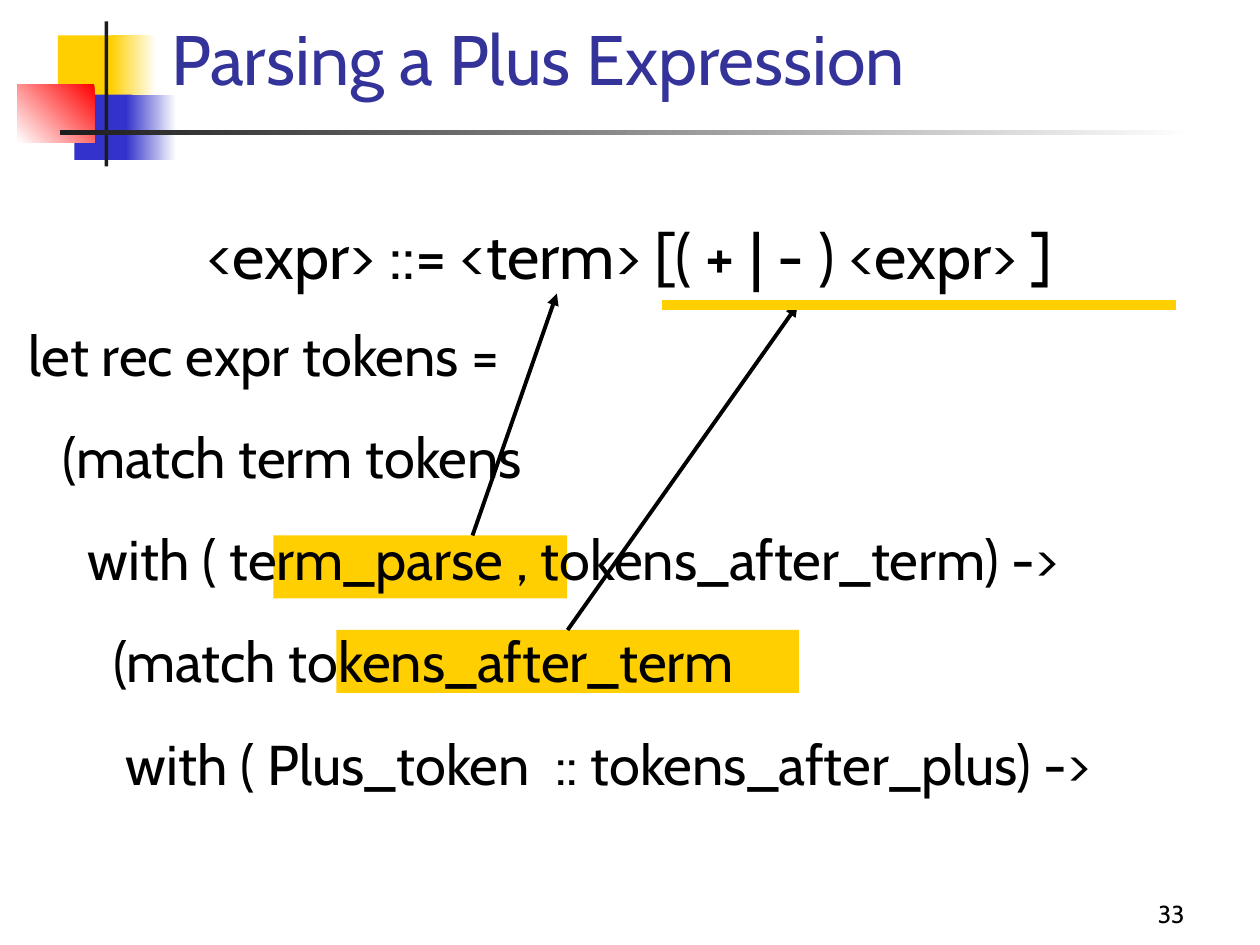
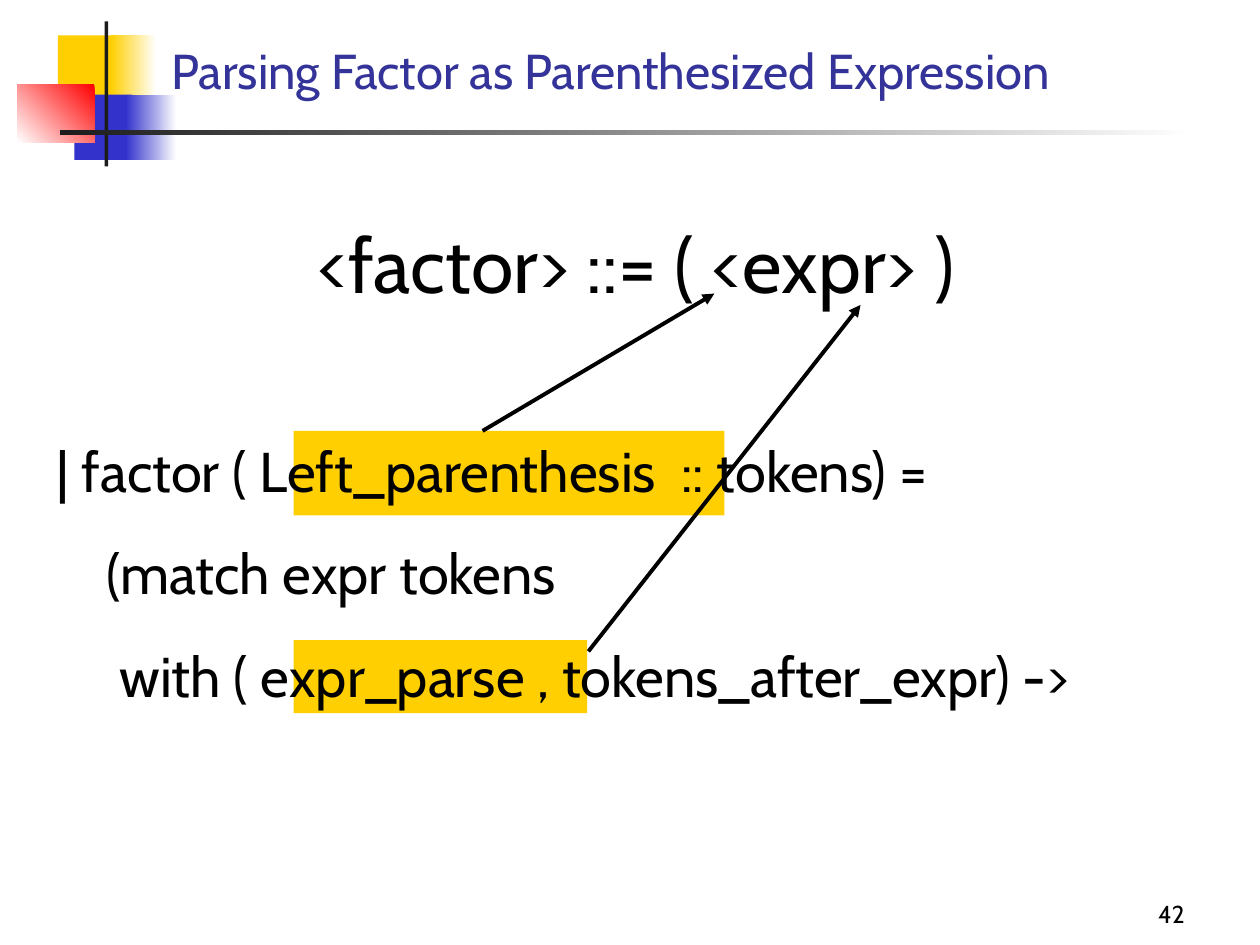
"""Build two slides that tie grammar rules to the parser code for them."""
from dataclasses import dataclass

from lxml import etree
from pptx import Presentation
from pptx.dml.color import RGBColor
from pptx.enum import shapes, text
from pptx.oxml.ns import qn
from pptx.util import Inches, Pt


@dataclass(frozen=True)
class Theme:
    """Colours, type sizes and line widths of the deck."""
    font: str = "Cabin"
    ink: str = "000000"
    head: str = "333399"
    gold: str = "FFCF01"
    blue: str = "3333CC"
    red: str = "FF0000"
    dark: str = "1C1C1C"
    white: str = "FFFFFF"
    code: int = 32
    num: int = 14
    gap: int = 20
    arrow: float = 2.25
    rule: float = 5.5
    step: float = 0.1


T = Theme()


def rgb(tone):
    """Turn a hex string into a colour."""
    return RGBColor.from_string(tone)


def style(para, size, tone=T.ink, align=text.PP_ALIGN.LEFT):
    """Set font and alignment of a paragraph."""
    font = para.font
    font.name, font.size, font.color.rgb = T.font, Pt(size), rgb(tone)
    para.alignment = align


def block(slide, box, *tones, angle=180):
    """Add a rectangle in one tone or with a gradient between two."""
    rect = slide.shapes.add_shape(shapes.MSO_SHAPE.RECTANGLE, *map(Inches, box))
    rect.shadow.inherit = False
    rect.line.fill.background()
    if len(tones) == 1:
        rect.fill.solid()
        rect.fill.fore_color.rgb = rgb(tones[0])
    else:
        rect.fill.gradient()
        rect.fill.gradient_angle = angle
        for stop, tone in zip(rect.fill.gradient_stops, tones):
            stop.color.rgb = rgb(tone)
    return rect


def motif(slide, layout):
    """Draw the corner squares and rules, and move them to the layout."""
    parts = [
        block(slide, (0.46, 0.28, 0.48, 0.52), T.gold),
        block(slide, (0.88, 0.28, 0.36, 0.52), T.white, T.gold),
        block(slide, (0.59, 0.75, 0.46, 0.52), T.blue),
        block(slide, (1, 0.75, 0.4, 0.52), T.white, T.blue),
        block(slide, (0.14, 0.67, 0.61, 0.46), T.red, T.white, angle=225),
        block(slide, (0.83, 0.17, 0.03, 1.15), T.dark),
        block(slide, (0.48, 1.03, 9, 0.04), T.white, T.dark),
    ]
    for part in parts:
        layout.shapes.element.append(part.element)


def title(slide, words, size):
    """Place and fill the title."""
    head = slide.shapes.title
    head.left, head.top, head.width, head.height = map(
        Inches, (1.26, 0.18, 8.52, 0.66))
    frame = head.text_frame
    frame.text = words
    frame.auto_size = text.MSO_AUTO_SIZE.NONE
    frame.vertical_anchor = text.MSO_ANCHOR.BOTTOM
    style(frame.paragraphs[0], size, T.head)


def frame(slide, box):
    """Add a wrapping text box and return its frame."""
    area = slide.shapes.add_textbox(*map(Inches, box)).text_frame
    area.word_wrap = True
    return area


def number(slide, label):
    """Add the page number."""
    area = frame(slide, (7.42, 6.92, 2.08, 0.5))
    area.vertical_anchor = text.MSO_ANCHOR.BOTTOM
    area.text = label
    style(area.paragraphs[0], T.num, align=text.PP_ALIGN.RIGHT)


def indent(para, inches):
    """Set the left margin of a paragraph."""
    para._p.get_or_add_pPr().set("marL", str(Inches(inches)))


def body(slide, box, rule, size, shift, lead, lines):
    """Write a centred grammar rule, then code lines given as (level, words)."""
    area = frame(slide, box)
    area.text = rule
    first = area.paragraphs[0]
    style(first, size, align=text.PP_ALIGN.CENTER)
    indent(first, shift)
    for row, (level, words) in enumerate(lines):
        para = area.add_paragraph()
        para.text = words
        style(para, T.code)
        para.space_before = Pt(T.gap if row else lead)
        indent(para, level * T.step)


def line(slide, start, end, tone=T.ink, width=T.arrow, tip=True):
    """Add a straight line, with an arrowhead at its end if wanted."""
    link = slide.shapes.add_connector(
        shapes.MSO_CONNECTOR.STRAIGHT, *map(Inches, start + end))
    link.line.color.rgb = rgb(tone)
    link.line.width = Pt(width)
    if tip:
        stroke = link.line._get_or_add_ln()
        etree.SubElement(stroke, qn("a:tailEnd"), type="triangle")
    etree.SubElement(link._element.spPr, qn("a:effectLst"))
    return link


def plus(slide):
    """Fill the slide on plus expressions."""
    title(slide, "Parsing a Plus Expression", 40)
    number(slide, "33")
    block(slide, (2.17, 4.25, 2.33, 0.5), T.gold)
    rest = block(slide, (2.67, 5, 3.67, 0.5), T.gold)
    body(slide, (0, 1.67, 10, 5.08),
         "<expr> ::= <term> [( + | - ) <expr> ]", 36, 0, 16, [
             (1.3, "let rec expr tokens ="),
             (4, "(match term tokens"),
             (6, "with ( term_parse , tokens_after_term) ->"),
             (8, "(match tokens_after_term"),
             (9, "with ( Plus_token  :: tokens_after_plus) ->")])
    line(slide, (3.75, 4.25), (4.42, 2.33))
    line(slide, (4.5, 5), (6.33, 2.42)).begin_connect(rest, 0)
    line(slide, (5.25, 2.42), (9.33, 2.42), T.gold, T.rule, tip=False)


def factor(slide):
    """Fill the slide on parenthesized factors."""
    title(slide, "Parsing Factor as Parenthesized Expression", 28)
    number(slide, "42")
    block(slide, (2.33, 3.42, 3.42, 0.67), T.gold)
    block(slide, (2.33, 5.08, 2.33, 0.58), T.gold)
    body(slide, (0.25, 1.67, 9.33, 5.08),
         "<factor> ::= ( <expr> )", 44, 0.27, 73, [
             (1, "| factor ( Left_parenthesis  :: tokens) ="),
             (5, "(match expr tokens"),
             (6, "with ( expr_parse , tokens_after_expr) ->")])
    line(slide, (3.83, 3.42), (5.67, 2.33))
    line(slide, (4.67, 5.17), (6.83, 2.42))


def main():
    """Build and save the deck."""
    deck = Presentation()
    deck.slide_width, deck.slide_height = Inches(10), Inches(7.5)
    layout = deck.slide_layouts[5]
    pages = [deck.slides.add_slide(layout) for _ in range(2)]
    motif(pages[0], layout)
    for fill, page in zip((plus, factor), pages):
        fill(page)
    deck.save("out.pptx")


if __name__ == "__main__":
    main()
